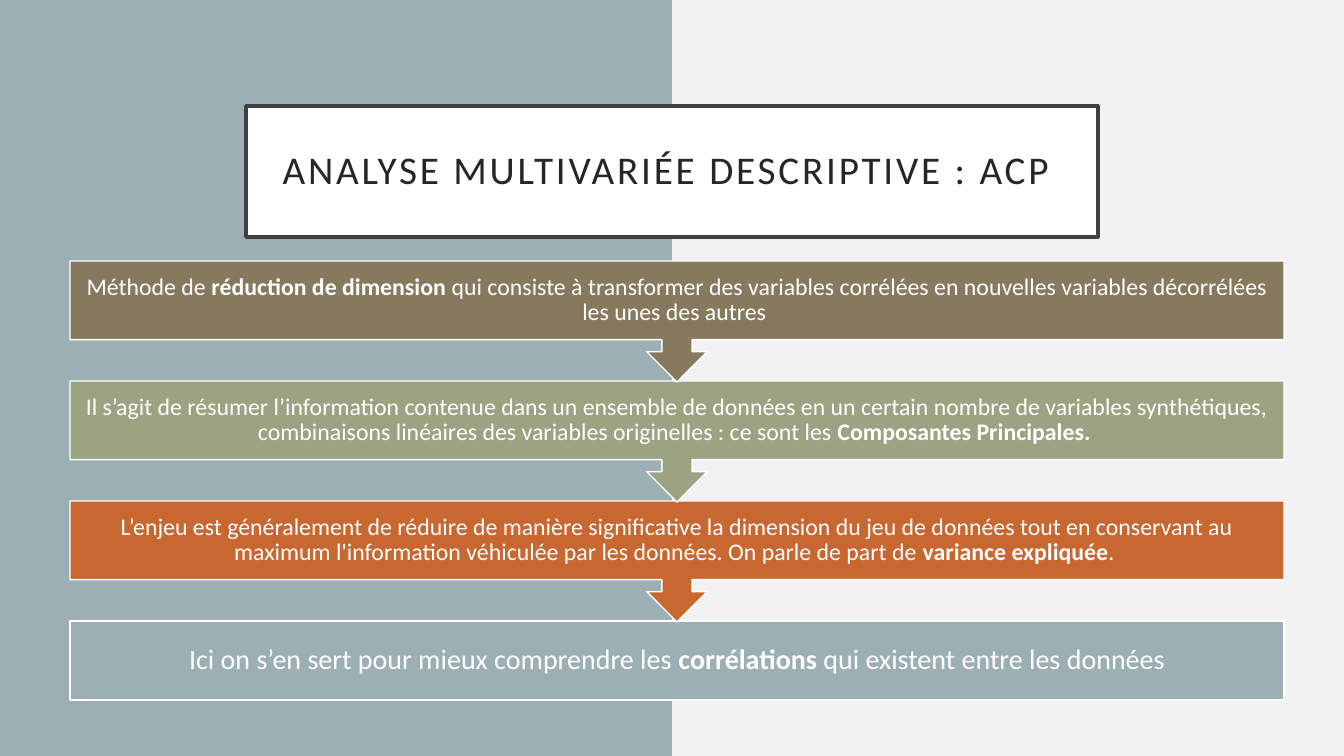
"""Build a slide that presents principal component analysis as a four-step flow."""
import pptx
import pptx.dml.color
import pptx.enum.shapes
import pptx.enum.text
import pptx.util

TITLE = "ANALYSE MULTIVARIÉE DESCRIPTIVE : ACP "
STEPS = [
    ("olive", [("Méthode de ", False), ("réduction de dimension ", True),
               ("qui consiste à transformer des variables corrélées en nouvelles variables "
                "décorrélées les unes des autres ", False)]),
    ("sage", [("Il s’agit de résumer l’information contenue dans un ensemble de données en un "
               "certain nombre de variables synthétiques, combinaisons linéaires des variables "
               "originelles : ce sont les ", False), ("Composantes Principales. ", True)]),
    ("rust", [("L’enjeu est généralement de réduire de manière significative la dimension du jeu "
               "de données tout en conservant au maximum l'information véhiculée par les données. "
               "On parle de part de ", False), ("variance expliquée", True), (". ", False)]),
    ("blue", [("Ici on s’en sert pour mieux comprendre les ", False), ("corrélations", True),
              (" qui existent entre les données", False)]),
]
THEME = {
    "font": "Calibri",
    "colors": {"back": "F2F2F2", "blue": "9BAFB5", "white": "FFFFFF", "frame": "404040",
               "ink": "262626", "olive": "87795D", "sage": "9CA383", "rust": "C96731"},
    "sizes": {"title": 28, "step": 17, "last": 20},
}
SLIDE_W, SLIDE_H = 1344, 756
FLOW_X, FLOW_Y, FLOW_W, PITCH = 70, 261, 1214, 120
CALLOUT_H, BOX_H = 121, 79
SHAPE = pptx.enum.shapes.MSO_SHAPE


def px(n):
    return pptx.util.Emu(round(n * 12192000 / SLIDE_W))


def color(name):
    return pptx.dml.color.RGBColor.from_string(THEME["colors"][name])


def paint(sp, fill, line=None, width=1):
    sp.fill.solid()
    sp.fill.fore_color.rgb = color(fill)
    if line:
        sp.line.color.rgb = color(line)
        sp.line.width = pptx.util.Pt(width)
    else:
        sp.line.fill.background()


def add_shape(slide, kind, box, fill, line=None):
    sp = slide.shapes.add_shape(kind, *map(px, box))
    sp.shadow.inherit = False
    paint(sp, fill, line)
    return sp


def write(sp, runs, size, ink, inset):
    tf = sp.text_frame
    tf.word_wrap = True
    tf.auto_size = pptx.enum.text.MSO_AUTO_SIZE.NONE
    tf.vertical_anchor = pptx.enum.text.MSO_ANCHOR.MIDDLE
    tf.margin_left = tf.margin_right = tf.margin_top = tf.margin_bottom = px(inset)
    p = tf.paragraphs[0]
    p.alignment = pptx.enum.text.PP_ALIGN.CENTER
    p.line_spacing = 0.9
    p.font.name = THEME["font"]
    p.font.size = pptx.util.Pt(THEME["sizes"][size])
    p.font.color.rgb = color(ink)
    for text, bold in runs:
        r = p.add_run()
        r.text = text
        if bold:
            r.font.bold = True
    return p


def add_title(slide):
    sp = slide.shapes.title
    sp.left, sp.top, sp.width, sp.height = map(px, (246, 106, 852, 131))
    paint(sp, "white", "frame", 2.5)
    p = write(sp, [(TITLE, False)], "title", "ink", 20)
    p.runs[0].font._element.set("spc", "200")


def add_flow(slide):
    last = len(STEPS) - 1
    for i, (fill, runs) in reversed(list(enumerate(STEPS))):
        if i == last:
            kind, height, size, inset = SHAPE.RECTANGLE, BOX_H, "last", 16
        else:
            kind, height, size, inset = SHAPE.DOWN_ARROW_CALLOUT, CALLOUT_H, "step", 13
        box = (FLOW_X, FLOW_Y + i * PITCH, FLOW_W, height)
        write(add_shape(slide, kind, box, fill, "white"), runs, size, "white", inset)


def main():
    prs = pptx.Presentation()
    prs.slide_width, prs.slide_height = px(SLIDE_W), px(SLIDE_H)
    slide = prs.slides.add_slide(prs.slide_layouts[5])
    slide.background.fill.solid()
    slide.background.fill.fore_color.rgb = color("back")
    panel = add_shape(slide, SHAPE.RECTANGLE, (0, 0, SLIDE_W // 2, SLIDE_H), "blue")
    slide.shapes.title._element.addprevious(panel._element)
    add_title(slide)
    add_flow(slide)
    prs.save("out.pptx")


if __name__ == "__main__":
    main()
